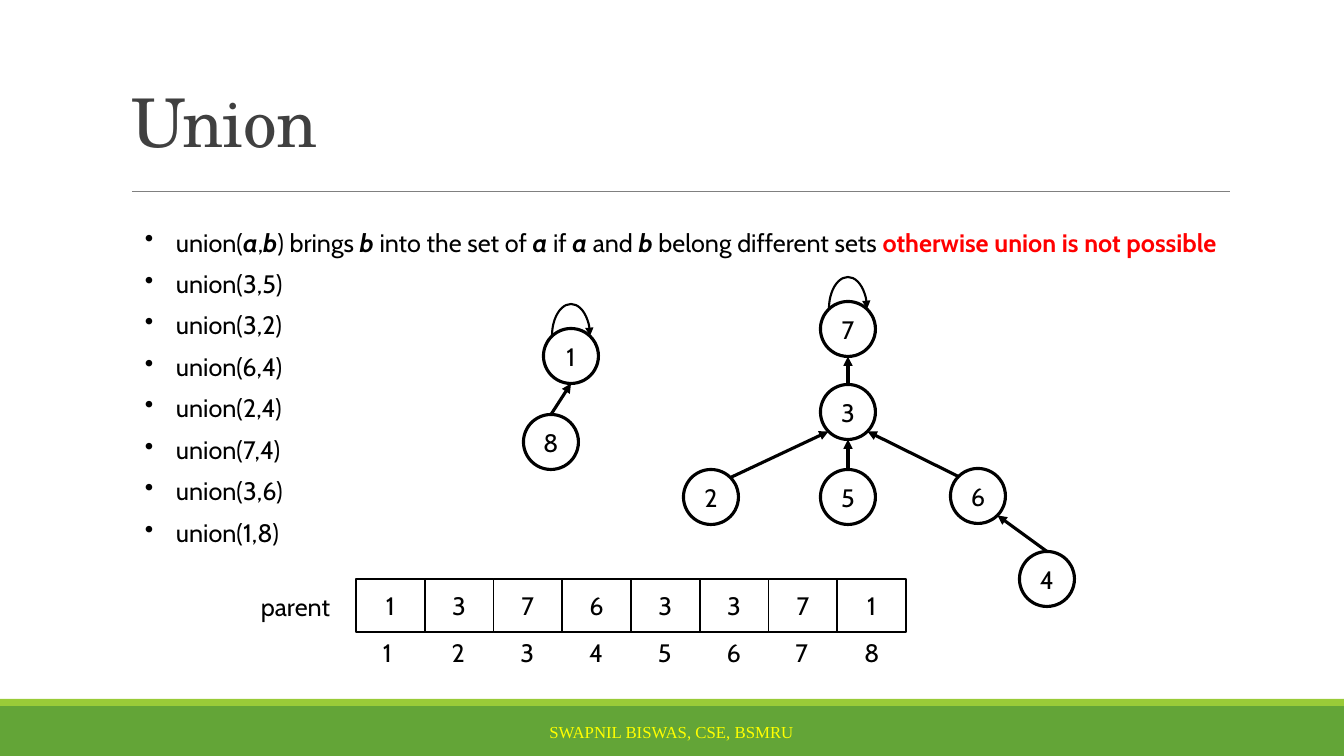
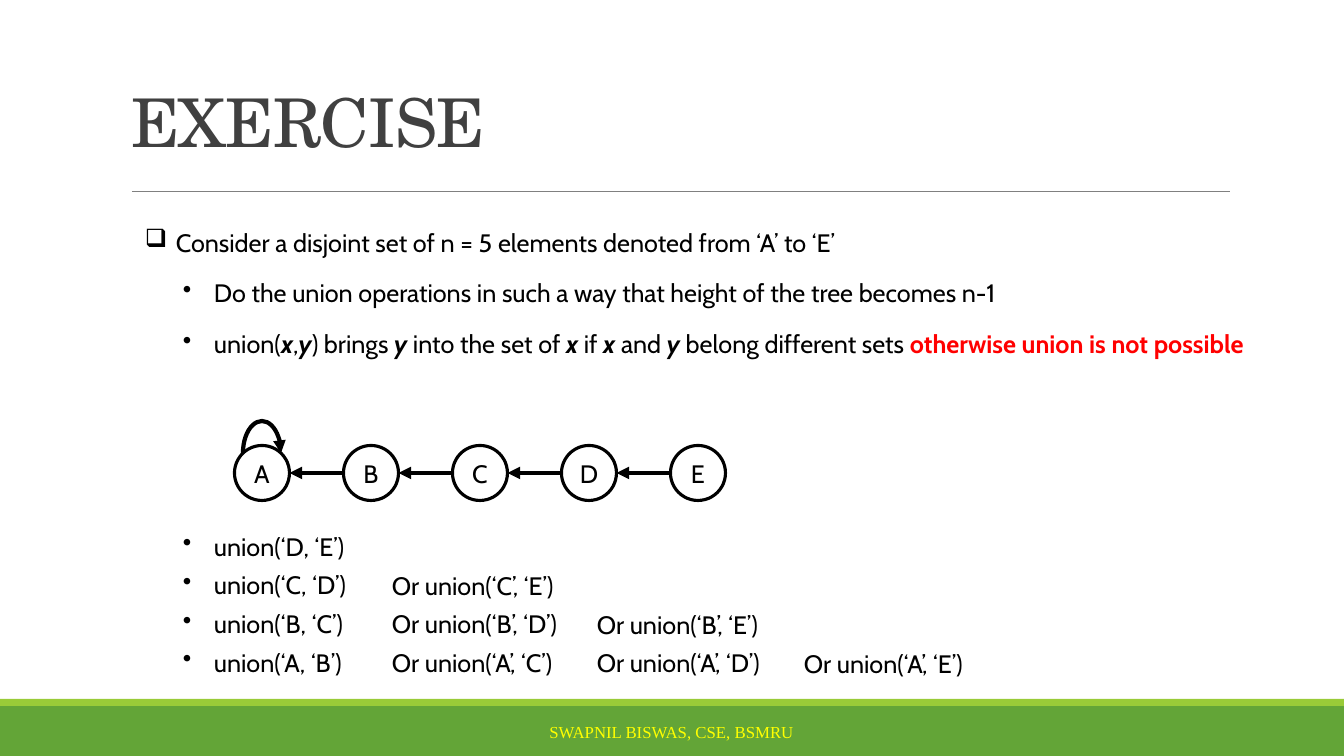
import math
from dataclasses import dataclass

import pptx
import pptx.dml.color
import pptx.enum.shapes
import pptx.enum.text
import pptx.oxml.ns
import pptx.oxml.xmlchemy
import pptx.util

KIND = pptx.enum.shapes.MSO_SHAPE
LINE = pptx.enum.shapes.MSO_CONNECTOR
ALIGN = pptx.enum.text.PP_ALIGN
ANCHOR = pptx.enum.text.MSO_ANCHOR
FIT = pptx.enum.text.MSO_AUTO_SIZE
qn = pptx.oxml.ns.qn
Pt = pptx.util.Pt


@dataclass(frozen=True)
class Theme:
    ink: str = "000000"
    paper: str = "FFFFFF"
    head: str = "404040"
    rule: str = "808080"
    band: str = "63A537"
    strip: str = "99CB38"
    alert: str = "FF0000"
    foot: str = "FFFF00"
    body_font: str = "Cabin"
    head_font: str = "TeX Gyre Schola"
    foot_font: str = "Times New Roman"
    body_size: int = 18
    head_size: int = 48
    foot_size: int = 12


THEME = Theme()
WIDE, HIGH = 1344, 756
SCALE = 914400 / 100.8
NODE = 55
ROW = 40
HANG, STEP = 31, 38
FOOTER = "SWAPNIL BISWAS, CSE, BSMRU"


def rule_text(a, b):
    """Runs that state the union rule; each is (text, style)."""
    return [("union(", ""), (a, "var"), (",", ""), (b, "var"),
            (") brings ", ""), (b + " ", "var"), ("into the set of ", ""),
            (a + " ", "var"), ("if ", ""), (a + " ", "var"), ("and ", ""),
            (b, "var"), (" belong different sets ", ""),
            ("otherwise union is not possible", "alert")]


# Each list item is (level, bullet, text or runs).
CALLS = ["union(3,5)", "union(3,2)", "union(6,4)", "union(2,4)",
         "union(7,4)", "union(3,6)", "union(1,8)"]
UNION = [(0, "•", rule_text("a", "b"))] + [(0, "•", call) for call in CALLS]
FOREST = {"1": (571, 356), "2": (711, 497), "3": (848, 412), "4": (1047, 579),
          "5": (848, 497), "6": (978, 496), "7": (848, 329), "8": (551, 442)}
# Sites run anticlockwise from the top in steps of 45 degrees.
EDGES = [("8", 0, "1", 4), ("3", 0, "7", 4), ("2", 7, "3", 3),
         ("5", 0, "3", 4), ("6", 1, "3", 5), ("4", 0, "6", 5)]
PARENT = [1, 3, 7, 6, 3, 3, 7, 1]

TASK = [
    (0, "❑", "Consider a disjoint set of n = 5 elements denoted from ‘A’ to ‘E’"),
    (1, "•", "Do the union operations in such a way that height of the tree becomes n-1"),
    (1, "•", rule_text("x", "y")),
]
CHAIN = "ABCDE"
# Each column is (left, first row, bullet, lines).
ANSWERS = [
    (173, 0, "•", ["union(‘D, ‘E’)", "union(‘C, ‘D’)", "union(‘B, ‘C’)", "union(‘A, ‘B’)"]),
    (382, 1, "", ["Or union(‘C’, ‘E’)", "Or union(‘B’, ‘D’)", "Or union(‘A’, ‘C’)"]),
    (587, 2, "", ["Or union(‘B’, ‘E’)", "Or union(‘A’, ‘D’)"]),
    (794, 3, "", ["Or union(‘A’, ‘E’)"]),
]


def px(size):
    return pptx.util.Emu(round(size * SCALE))


def rgb(code):
    return pptx.dml.color.RGBColor.from_string(code)


def make(tag, **attrs):
    """Make an XML element with the given attributes."""
    node = pptx.oxml.xmlchemy.OxmlElement(tag)
    for key, value in attrs.items():
        node.set(key, str(value))
    return node


def style(para, font=THEME.body_font, size=THEME.body_size, color=THEME.ink):
    para.font.name = font
    para.font.size = Pt(size)
    para.font.color.rgb = rgb(color)


def mark(props, level, bullet):
    """Give paragraph properties a hanging bullet."""
    props.set("marL", str(px(HANG + level * STEP)))
    props.set("indent", str(-px(HANG)))
    props.find(qn("a:defRPr")).addprevious(make("a:buChar", char=bullet))


def fill_runs(para, text):
    for words, look in [(text, "")] if isinstance(text, str) else text:
        run = para.add_run()
        run.text = words
        if look:
            run.font.bold = True
            run.font.italic = look == "var"
        if look == "alert":
            run.font.color.rgb = rgb(THEME.alert)


def add_list(slide, x, y, wide, items, gap=0):
    box = slide.shapes.add_textbox(px(x), px(y), px(wide), px(ROW))
    frame = box.text_frame
    frame.word_wrap = False
    for i, (_, _, text) in enumerate(items):
        para = frame.add_paragraph() if i else frame.paragraphs[0]
        fill_runs(para, text)
        style(para)
        para.space_after = Pt(gap)
    for (level, bullet, _), props in zip(items, box.element.iter(qn("a:pPr"))):
        if bullet:
            mark(props, level, bullet)


def add_shape(slide, kind, x, y, wide, high, fill=None, width=0, text=""):
    shape = slide.shapes.add_shape(kind, px(x), px(y), px(wide), px(high))
    shape.shadow.inherit = False
    if fill:
        shape.fill.solid()
        shape.fill.fore_color.rgb = rgb(fill)
    else:
        shape.fill.background()
    if width:
        shape.line.color.rgb = rgb(THEME.ink)
        shape.line.width = Pt(width)
    else:
        shape.line.fill.background()
    if text:
        frame = shape.text_frame
        frame.margin_left = frame.margin_right = 0
        frame.margin_top = frame.margin_bottom = 0
        frame.vertical_anchor = ANCHOR.MIDDLE
        frame.word_wrap = False
        para = frame.paragraphs[0]
        para.text = text
        para.alignment = ALIGN.CENTER
        style(para)
    return shape


def add_head(shape):
    line = shape.element.find(qn("p:spPr")).find(qn("a:ln"))
    line.append(make("a:tailEnd", type="triangle"))


def add_line(slide, start, end, color, width):
    line = slide.shapes.add_connector(LINE.STRAIGHT, *map(px, start + end))
    line.line.color.rgb = rgb(color)
    line.line.width = Pt(width)
    line.element.find(qn("p:spPr")).append(make("a:effectLst"))
    return line


def add_node(slide, name, spot):
    x, y = (c - NODE / 2 for c in spot)
    return add_shape(slide, KIND.OVAL, x, y, NODE, NODE, THEME.paper, 2.25, name)


def add_loop(slide, spot, width):
    """Draw the arrow from a root back to itself."""
    x, y = spot
    loop = add_shape(slide, KIND.ARC, x - 19, y - 52, 38, 64, width=width)
    loop.adjustments[0] = 108
    loop.adjustments[1] = 0
    add_head(loop)


def site_at(spot, site):
    turn = math.radians(45 * site)
    return (spot[0] - NODE / 2 * math.sin(turn),
            spot[1] - NODE / 2 * math.cos(turn))


def add_graph(slide, spots, edges, roots, width, loop_width):
    """Draw nodes, root loops and arrows glued to the nodes' sites."""
    nodes = {name: add_node(slide, name, spot) for name, spot in spots.items()}
    for root in roots:
        add_loop(slide, spots[root], loop_width)
    for child, out, parent, into in edges:
        link = add_line(slide, site_at(spots[child], out),
                        site_at(spots[parent], into), THEME.ink, width)
        add_head(link)
        joint = next(link.element.iter(qn("p:cNvCxnSpPr")))
        for tag, name, site in (("a:stCxn", child, out), ("a:endCxn", parent, into)):
            joint.append(make(tag, id=nodes[name].shape_id, idx=site))


def add_slide(deck, title):
    """Add a slide with the shared bands, rule, title and footer."""
    slide = deck.slides.add_slide(deck.slide_layouts[5])
    add_shape(slide, KIND.RECTANGLE, 0, 706, WIDE, 50, THEME.band)
    add_shape(slide, KIND.RECTANGLE, 0, 699, WIDE, 7, THEME.strip)
    add_line(slide, (132, 191), (1230, 191), THEME.rule, 0.5)

    head = slide.shapes.title
    head.left, head.top, head.width, head.height = map(px, (121, 6, 1109, 160))
    frame = head.text_frame
    frame.auto_size = FIT.NONE
    frame.vertical_anchor = ANCHOR.BOTTOM
    para = frame.paragraphs[0]
    para.text = title
    para.alignment = ALIGN.LEFT
    para.line_spacing = 0.85
    style(para, THEME.head_font, THEME.head_size, THEME.head)
    next(head.element.iter(qn("a:defRPr"))).set("spc", "-50")

    foot = slide.shapes.add_textbox(*map(px, (406, 712, 531, ROW)))
    foot.text_frame.word_wrap = True
    foot.text_frame.vertical_anchor = ANCHOR.MIDDLE
    para = foot.text_frame.paragraphs[0]
    para.text = FOOTER
    para.alignment = ALIGN.CENTER
    style(para, THEME.foot_font, THEME.foot_size, THEME.foot)
    return slide


def add_array(slide, x, y, wide, high, values):
    """Draw a row of cells with their indexes, from 1, below."""
    cell = wide / len(values)
    for i, value in enumerate(values):
        left = x + i * cell
        add_shape(slide, KIND.RECTANGLE, left, y, cell, high,
                  THEME.paper, 1.25, str(value))
        add_list(slide, left + 17, y + high, 34, [(0, "", str(i + 1))])


def union_slide(deck):
    slide = add_slide(deck, "Union")
    add_list(slide, 135, 222, 1157, UNION, gap=8)
    add_graph(slide, FOREST, EDGES, "17", 2.25, 1.5)
    add_array(slide, 356, 579, 550, 53, PARENT)
    add_list(slide, 251, 586, 92, [(0, "", "parent")])


def task_slide(deck):
    slide = add_slide(deck, "EXERCISE")
    add_list(slide, 135, 222, 1190, TASK, gap=14.5)
    spots = {name: (262 + 109 * i, 473) for i, name in enumerate(CHAIN)}
    edges = [(child, 2, parent, 6) for parent, child in zip(CHAIN, CHAIN[1:])]
    add_graph(slide, spots, edges, CHAIN[0], 3, 3)
    for x, row, bullet, lines in ANSWERS:
        items = [(0, bullet, line) for line in lines]
        add_list(slide, x, 526 + 39 * row, 200, items, gap=6)


def main():
    deck = pptx.Presentation()
    deck.slide_width, deck.slide_height = px(WIDE), px(HIGH)
    union_slide(deck)
    task_slide(deck)
    deck.save("out.pptx")


if __name__ == "__main__":
    main()
